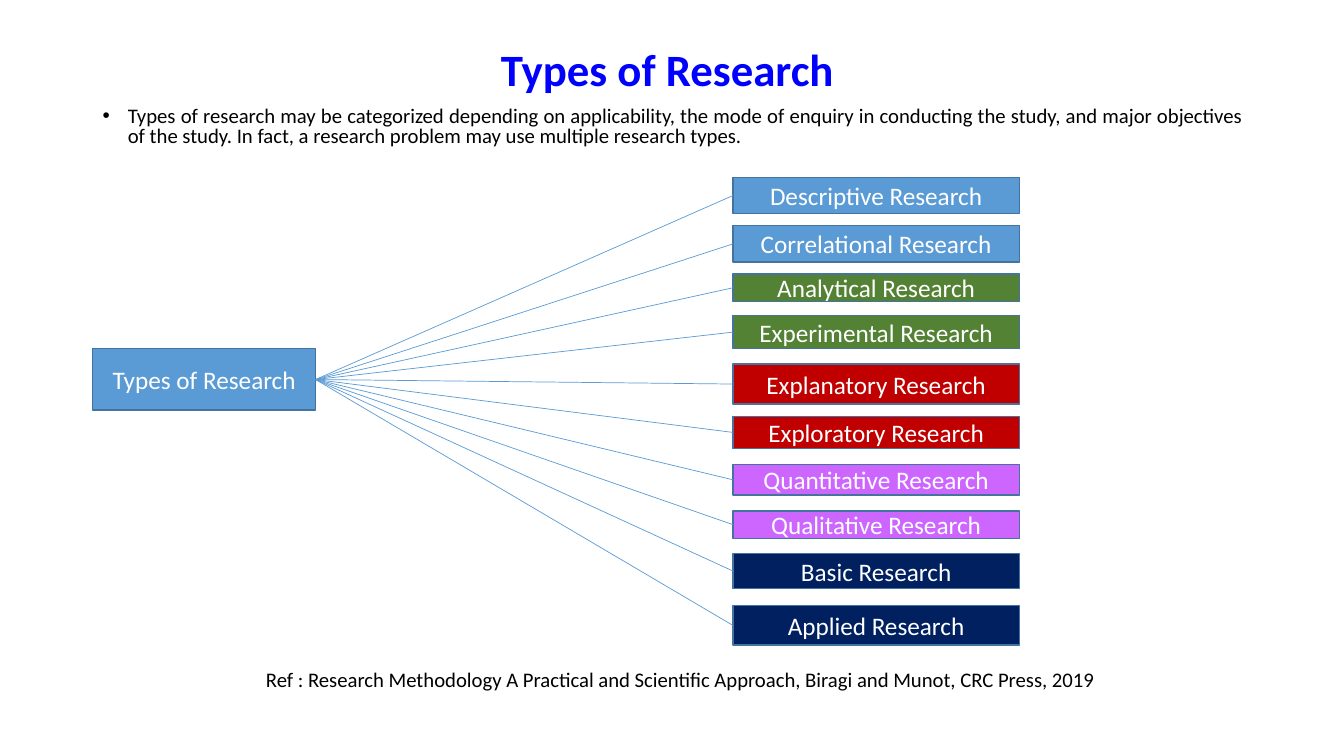
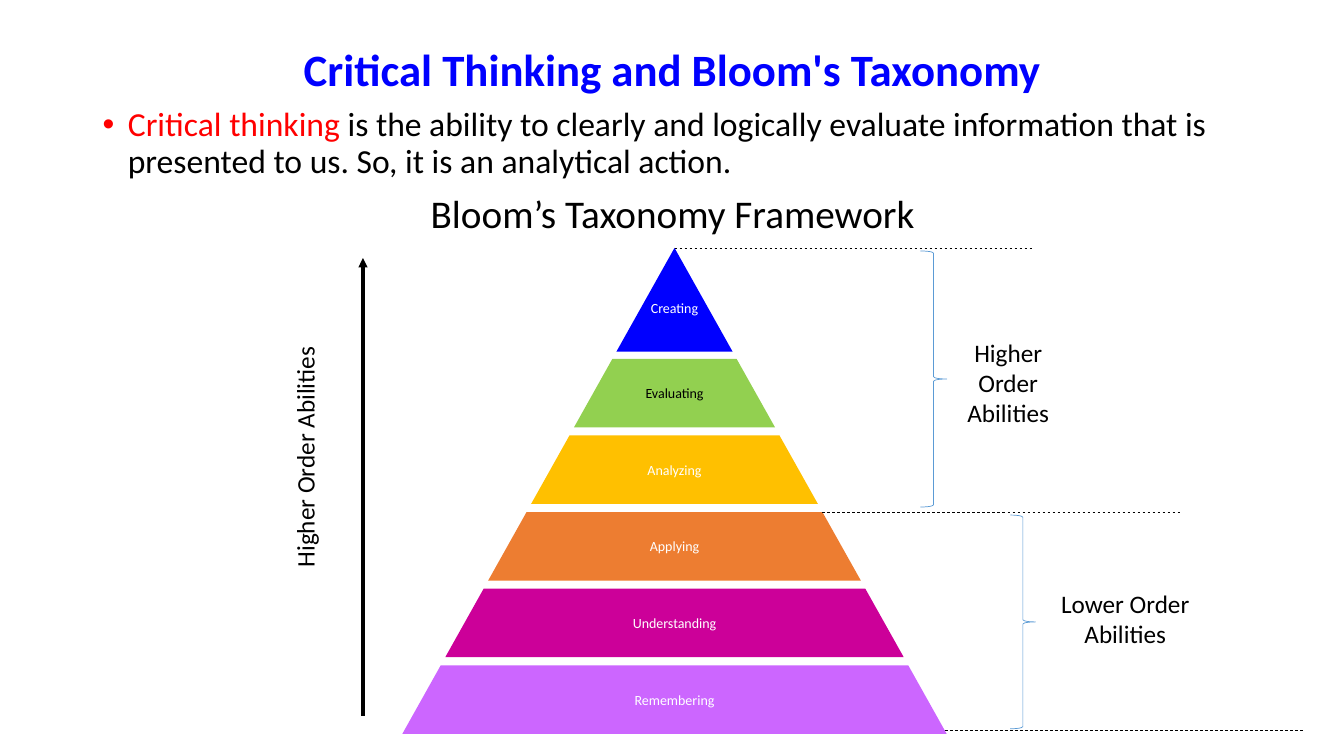
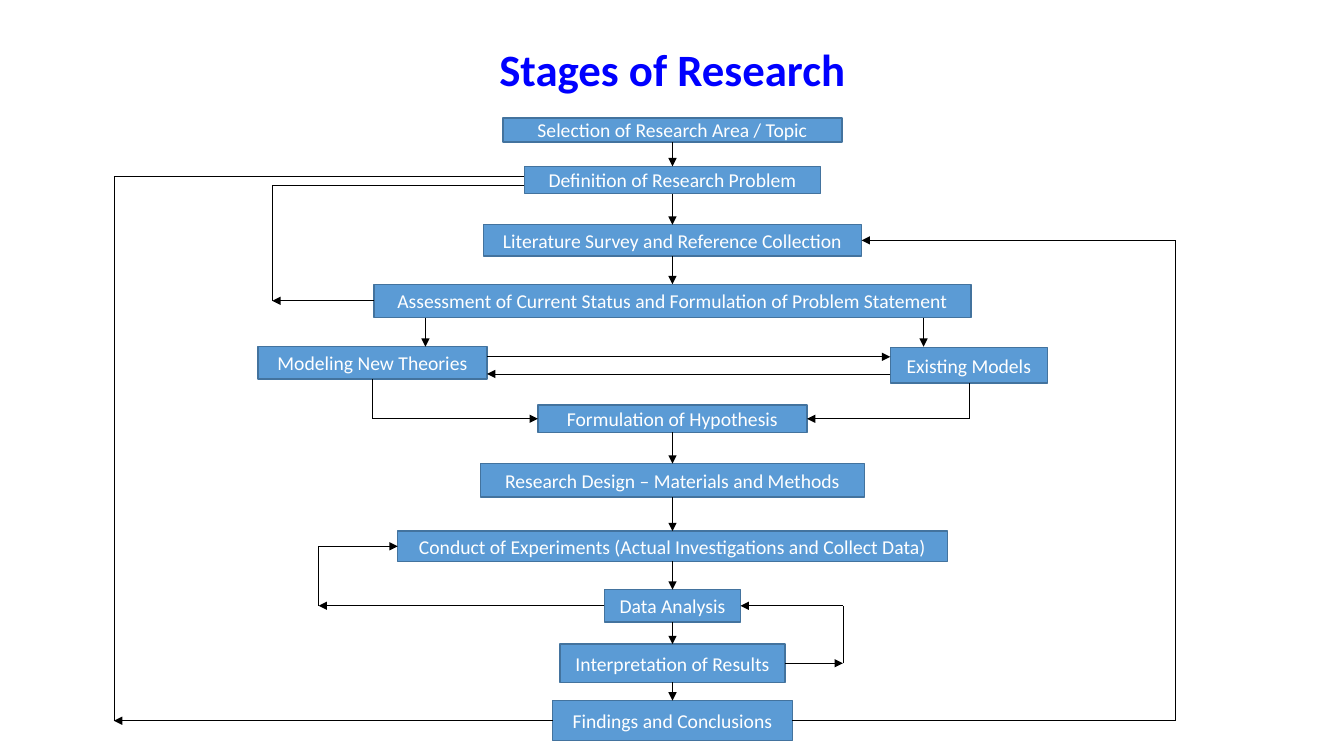
from collections import namedtuple
from itertools import pairwise

from lxml import etree
from pptx import Presentation
from pptx.dml.color import RGBColor
from pptx.enum import dml, shapes, text
from pptx.oxml import ns
from pptx.util import Inches, Pt

BLACK = RGBColor(0x00, 0x00, 0x00)
WHITE = RGBColor(0xFF, 0xFF, 0xFF)
BLUE = RGBColor(0x00, 0x00, 0xFF)
RED = RGBColor(0xFF, 0x00, 0x00)
SKY = RGBColor(0x5B, 0x9B, 0xD5)
STEEL = RGBColor(0x43, 0x73, 0x9E)
GREEN = RGBColor(0x54, 0x82, 0x35)
CRIMSON = RGBColor(0xC0, 0x00, 0x00)
VIOLET = RGBColor(0xCC, 0x66, 0xFF)
NAVY = RGBColor(0x00, 0x20, 0x60)
LIME = RGBColor(0x92, 0xD0, 0x50)
AMBER = RGBColor(0xFF, 0xC0, 0x00)
ORANGE = RGBColor(0xED, 0x7D, 0x31)
MAGENTA = RGBColor(0xCC, 0x00, 0x99)

LEFT, CENTER, JUSTIFY = text.PP_ALIGN.LEFT, text.PP_ALIGN.CENTER, text.PP_ALIGN.JUSTIFY
MIDDLE, TOP = text.MSO_ANCHOR.MIDDLE, text.MSO_ANCHOR.TOP

Port = namedtuple("Port", "shape side")
TOP_SIDE, LEFT_SIDE, BOTTOM_SIDE, RIGHT_SIDE = range(4)


def position(end):
    """Point in inches of a (x, y) pair or of the middle of a shape's side."""
    if not isinstance(end, Port):
        return end
    sp = end.shape
    fx, fy = ((0.5, 0), (0, 0.5), (0.5, 1), (1, 0.5))[end.side]
    return (sp.left + fx * sp.width) / Inches(1), (sp.top + fy * sp.height) / Inches(1)


class Deck:
    FONT = "Calibri"

    def __init__(self):
        self.prs = Presentation()
        self.prs.slide_width, self.prs.slide_height = Inches(13.33), Inches(7.5)

    def new_slide(self, title):
        self.s = self.prs.slides.add_slide(self.prs.slide_layouts[6])
        sp = self.text_box(title, 0.92, 0.4, 11.5, 0.62, size=32, color=BLUE, bold=True)
        sp.text_frame.paragraphs[0].line_spacing = 0.9

    def format_runs(self, p, size, color, bold=False):
        for r in p.runs:
            r.font.name, r.font.size, r.font.bold = self.FONT, Pt(size), bold
            r.font.color.rgb = color

    def set_text(self, sp, label, size, color, align=CENTER, anchor=MIDDLE, bold=False):
        tf = sp.text_frame
        tf.text = label
        tf.word_wrap = True
        tf.vertical_anchor = anchor
        tf.margin_left = tf.margin_right = Inches(0.1)
        p = tf.paragraphs[0]
        p.alignment = align
        self.format_runs(p, size, color, bold)

    def text_box(self, label, left, top, width, height, size=18, color=BLACK, **style):
        sp = self.s.shapes.add_textbox(*map(Inches, (left, top, width, height)))
        self.set_text(sp, label, size, color, **style)
        return sp

    def bullet_box(self, label, height, size, spacing, **style):
        sp = self.text_box(label, 0.92, 1.02, 11.5, height, size, anchor=TOP, **style)
        p = sp.text_frame.paragraphs[0]
        pPr = p._p.get_or_add_pPr()
        pPr.set("marL", str(Inches(0.25)))
        pPr.set("indent", str(-Inches(0.25)))
        etree.SubElement(pPr, ns.qn("a:buFont")).set("typeface", "Arial")
        etree.SubElement(pPr, ns.qn("a:buChar")).set("char", "•")
        p.line_spacing = spacing
        return sp.text_frame

    def box(self, label, left, top, width, height, size=14, fill=SKY):
        sp = self.s.shapes.add_shape(
            shapes.MSO_SHAPE.RECTANGLE, *map(Inches, (left, top, width, height)))
        sp.shadow.inherit = False
        sp.fill.solid()
        sp.fill.fore_color.rgb = fill
        sp.line.color.rgb, sp.line.width = STEEL, Pt(1)
        sp.text_frame.margin_top = sp.text_frame.margin_bottom = 0
        self.set_text(sp, label, size, WHITE)
        return sp

    def polygon(self, label, points, fill, color, top_inset=0):
        start, *rest = [(Inches(x), Inches(y)) for x, y in points]
        builder = self.s.shapes.build_freeform(*start)
        builder.add_line_segments(rest, close=True)
        sp = builder.convert_to_shape()
        sp.shadow.inherit = False
        sp.fill.solid()
        sp.fill.fore_color.rgb = fill
        sp.line.fill.background()
        sp.text_frame.margin_top, sp.text_frame.margin_bottom = Inches(top_inset), 0
        self.set_text(sp, label, 10, color)

    def brace(self, left, top, width, height):
        sp = self.s.shapes.add_shape(
            shapes.MSO_SHAPE.RIGHT_BRACE, *map(Inches, (left, top, width, height)))
        sp.shadow.inherit = False
        sp.fill.background()
        sp.line.color.rgb, sp.line.width = SKY, Pt(0.5)

    def line(self, start, end, arrow=False, color=BLACK, width=0.5, dash=None):
        """Straight line between two ends, each a (x, y) pair or a Port."""
        c = self.s.shapes.add_connector(
            shapes.MSO_CONNECTOR.STRAIGHT, *map(Inches, position(start) + position(end)))
        if isinstance(start, Port):
            c.begin_connect(*start)
        if isinstance(end, Port):
            c.end_connect(*end)
        c.line.color.rgb, c.line.width = color, Pt(width)
        if dash:
            c.line.dash_style = dash
        spPr = c._element.spPr
        if arrow:
            ln = spPr.find(ns.qn("a:ln"))
            etree.SubElement(ln, ns.qn("a:tailEnd")).set("type", "triangle")
        etree.SubElement(spPr, ns.qn("a:effectLst"))

    def loop(self, start, lane, end, out_arrow=True, back_arrow=True):
        """Go sideways to the lane at x, along it, and back sideways to the end."""
        out, back = (lane, position(start)[1]), (lane, position(end)[1])
        self.line(start, out, out_arrow)
        self.line(out, back)
        self.line(back, end, back_arrow)


def types_slide(deck):
    deck.new_slide("Types of Research ")
    deck.bullet_box(
        "Types of research may be categorized depending on applicability, the mode of "
        "enquiry in conducting the study, and major objectives of the study. In fact, "
        "a research problem may use multiple research types.",
        0.6, 14.8, 0.8, align=JUSTIFY)
    root = deck.box("Types of Research", 0.92, 3.46, 2.21, 0.61, 18)
    kinds = [
        ("Descriptive", 1.76, 0.36), ("Correlational", 2.24, 0.36),
        ("Analytical", 2.72, 0.27), ("Experimental", 3.13, 0.33),
        ("Explanatory", 3.61, 0.4), ("Exploratory", 4.13, 0.32),
        ("Quantitative", 4.61, 0.3), ("Qualitative", 5.07, 0.27),
        ("Basic", 5.49, 0.35), ("Applied", 6.01, 0.39),
    ]
    pair_fills = (SKY, GREEN, CRIMSON, VIOLET, NAVY)
    for i, (kind, top, height) in enumerate(kinds):
        leaf = deck.box(f"{kind} Research", 7.27, top, 2.84, height, 18, pair_fills[i // 2])
        deck.line(Port(root, RIGHT_SIDE), Port(leaf, LEFT_SIDE), color=SKY)
    deck.text_box(
        "Ref : Research Methodology A Practical and Scientific Approach, "
        "Biragi and Munot, CRC Press, 2019",
        2.54, 6.56, 9, 0.35, 14.8, align=LEFT)


def bloom_slide(deck):
    deck.new_slide("Critical Thinking and Bloom's Taxonomy")
    tf = deck.bullet_box("Critical thinking ", 1.4, 24, 0.9, color=RED, align=LEFT)
    r = tf.paragraphs[0].add_run()
    r.text = ("is the ability to clearly and logically evaluate information that is "
              "presented to us. So, it is an analytical action.")
    r.font.name, r.font.size, r.font.color.rgb = deck.FONT, Pt(24), BLACK
    p = tf.add_paragraph()
    p.text = "Bloom’s Taxonomy Framework"
    p.alignment, p.line_spacing, p.space_before = CENTER, 0.9, Pt(10)
    deck.format_runs(p, 28, BLACK)

    apex_x, apex_y, slope = 6.69, 2.46, 0.56

    def edge(y, sign=1):
        return apex_x + sign * slope * (y - apex_y), y

    deck.polygon("Creating", [(apex_x, apex_y), edge(3.49), edge(3.49, -1)],
                 BLUE, WHITE, top_inset=0.17)
    tiers = [("Evaluating", LIME, BLACK), ("Analyzing", AMBER, WHITE),
             ("Applying", ORANGE, WHITE), ("Understanding", MAGENTA, WHITE),
             ("Remembering", VIOLET, WHITE)]
    for i, (label, fill, color) in enumerate(tiers):
        top = 3.56 + i * 0.76
        bottom = top + 0.68
        deck.polygon(label, [edge(top, -1), edge(top), edge(bottom), edge(bottom, -1)],
                     fill, color)

    for y in (apex_y, 5.08, 7.25):
        x, _ = edge(y)
        deck.line((x, y), (x + 3.57, y), dash=dml.MSO_LINE.DASH)
    deck.brace(9.13, 2.49, 0.26, 2.54)
    deck.brace(10.02, 5.11, 0.25, 2.12)
    deck.text_box("Higher Order Abilities", 9.3, 3.17, 1.4, 1.25)
    deck.text_box("Lower Order Abilities", 10.32, 5.83, 1.68, 0.61)
    deck.line((3.6, 7.1), (3.6, 2.56), arrow=True, width=2.25)
    deck.text_box("Higher Order Abilities", 1.8, 4.27, 2.44, 0.53).rotation = 270


def stages_slide(deck):
    deck.new_slide("Stages of Research")
    center = 6.67
    stages = [
        ("Selection of Research Area / Topic", 1.17, 3.36, 0.24),
        ("Definition of Research Problem", 1.65, 2.94, 0.27),
        ("Literature Survey and Reference Collection", 2.23, 3.75, 0.31),
        ("Assessment of Current Status and Formulation of Problem Statement",
         2.82, 5.92, 0.33),
        ("Formulation of Hypothesis", 4.02, 2.67, 0.27),
        ("Research Design – Materials and Methods", 4.6, 3.81, 0.33),
        ("Conduct of Experiments (Actual Investigations and Collect Data)",
         5.27, 5.45, 0.3),
        ("Data Analysis", 5.85, 1.35, 0.32),
        ("Interpretation of Results", 6.39, 2.23, 0.38),
        ("Findings and Conclusions", 6.95, 2.38, 0.4),
    ]
    spine = [deck.box(label, center - width / 2, top, width, height)
             for label, top, width, height in stages]
    (_, definition, survey, assessment, hypothesis,
     _, experiments, analysis, results, findings) = spine
    modeling = deck.box("Modeling New Theories", 2.56, 3.44, 2.27, 0.32)
    existing = deck.box("Existing Models", 8.83, 3.45, 1.56, 0.35)

    for upper, lower in pairwise(spine):
        if upper is not assessment:
            deck.line(Port(upper, BOTTOM_SIDE), Port(lower, TOP_SIDE), arrow=True)

    for x in (4.22, 9.16):
        deck.line((x, 3.15), (x, 3.44), arrow=True)
    deck.line((8.83, 3.71), (4.83, 3.71), arrow=True)
    deck.line((4.83, 3.54), (8.83, 3.54), arrow=True)
    for model, side in ((modeling, LEFT_SIDE), (existing, RIGHT_SIDE)):
        start, end = Port(model, BOTTOM_SIDE), Port(hypothesis, side)
        corner = position(start)[0], position(end)[1]
        deck.line(start, corner)
        deck.line(corner, end, arrow=True)

    definition_left = position(Port(definition, LEFT_SIDE))[0]
    deck.loop(Port(assessment, LEFT_SIDE), 2.7, (definition_left, 1.84), back_arrow=False)
    deck.loop(Port(findings, LEFT_SIDE), 1.13, (definition_left, 1.75), back_arrow=False)
    deck.loop(Port(findings, RIGHT_SIDE), 11.66, Port(survey, RIGHT_SIDE), out_arrow=False)
    deck.loop(Port(analysis, LEFT_SIDE), 3.16, Port(experiments, LEFT_SIDE))
    deck.loop(Port(results, RIGHT_SIDE), 8.36, Port(analysis, RIGHT_SIDE))


def main():
    deck = Deck()
    types_slide(deck)
    bloom_slide(deck)
    stages_slide(deck)
    deck.prs.save("out.pptx")


if __name__ == "__main__":
    main()
